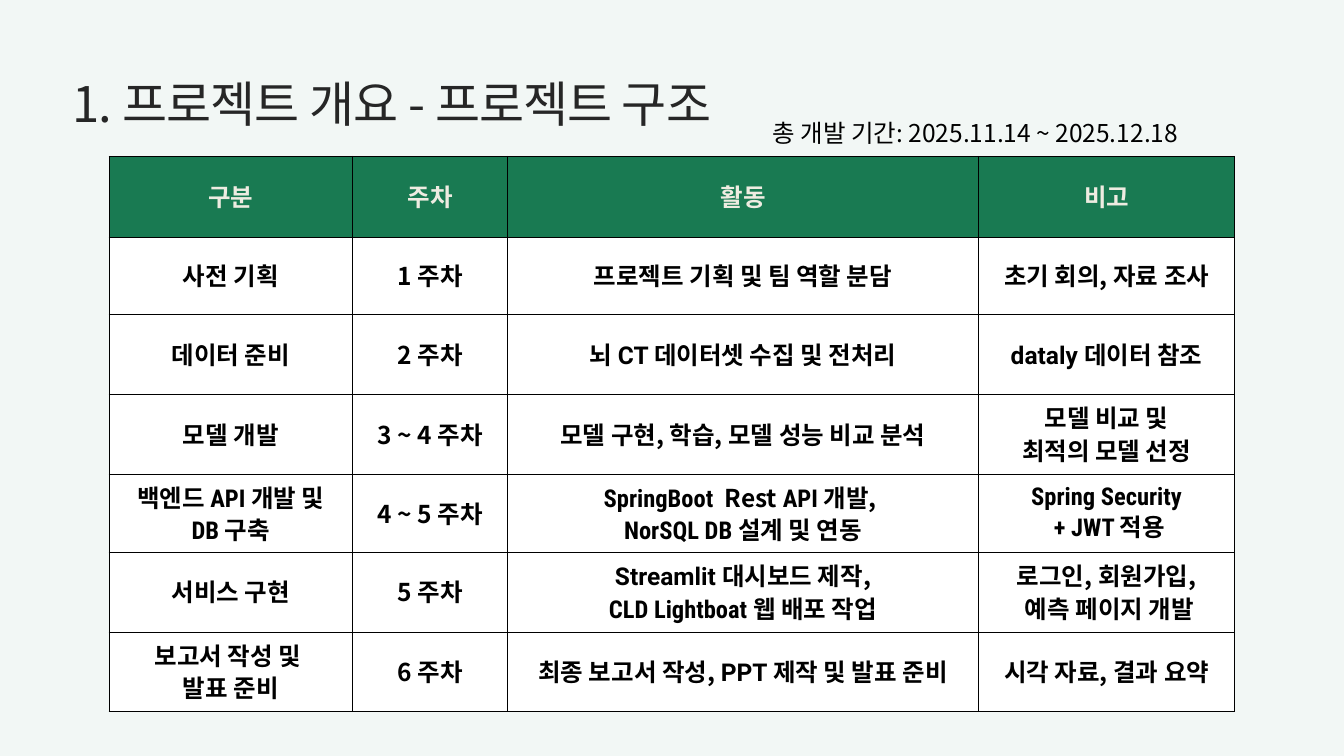
from lxml.etree import SubElement
from pptx import Presentation
from pptx.dml.color import RGBColor
from pptx.enum.text import MSO_ANCHOR, PP_ALIGN
from pptx.oxml.ns import qn
from pptx.util import Inches, Pt

BACKGROUND = RGBColor(0xF2, 0xF7, 0xF5)
GREEN = RGBColor(0x19, 0x7A, 0x52)
WHITE = RGBColor(0xFF, 0xFF, 0xFF)
CREAM = RGBColor(0xEE, 0xEC, 0xE1)
CHARCOAL = RGBColor(0x26, 0x26, 0x26)
BLACK = RGBColor(0x00, 0x00, 0x00)

KOREAN = "Noto Sans CJK KR"
LATIN = "Roboto"
NARROW = "Roboto Condensed"

COLUMN_WIDTHS = [4.84, 3.07, 9.35, 5.08]
ROW_HEIGHTS = [1.6, 1.54, 1.58, 1.6, 1.54, 1.58, 1.58]

# A cell is a text or a list of paragraphs; a paragraph is a text or a list
# of runs; a run is a text in the Korean font or a (text, font) pair.
SCHEDULE = [
    ["구분", "주차", "활동", "비고"],
    ["사전 기획", "1 주차", "프로젝트 기획 및 팀 역할 분담", "초기 회의, 자료 조사"],
    ["데이터 준비", "2 주차",
     [["뇌 ", ("CT ", LATIN), "데이터셋 수집 및 전처리"]],
     [[("dataly ", LATIN), "데이터 참조"]]],
    ["모델 개발", "3 ~ 4 주차", "모델 구현, 학습, 모델 성능 비교 분석",
     ["모델 비교 및", "최적의 모델 선정"]],
    [[[("백엔드 API ", NARROW), "개발 및"], [("DB ", NARROW), "구축"]],
     "4 ~ 5 주차",
     [[("SpringBoot", NARROW), "  Rest ", ("API ", NARROW), "개발, "],
      [("NorSQL DB ", NARROW), "설계 및 연동"]],
     [[("Spring Security", NARROW)], [(" + JWT ", NARROW), "적용"]]],
    ["서비스 구현", "5 주차",
     [[("Streamlit ", LATIN), "대시보드 제작,"],
      [("CLD Lightboat ", NARROW), "웹 배포 작업"]],
     ["로그인, 회원가입,", " 예측 페이지 개발"]],
    [["보고서 작성 및 ", "발표 준비"], "6 주차",
     [["최종 보고서 작성, ", ("PPT ", LATIN), "제작 및 발표 준비"]],
     "시각 자료, 결과 요약"],
]


def as_list(item):
    return item if isinstance(item, list) else [item]


def write_text(frame, text, *, size=35, color=BLACK, bold=False,
               align=PP_ALIGN.LEFT, line_spacing=None, tracking=None):
    for index, runs in enumerate(as_list(text)):
        paragraph = frame.add_paragraph() if index else frame.paragraphs[0]
        paragraph.alignment = align
        paragraph.line_spacing = line_spacing
        for item in as_list(runs):
            words, font_name = item if isinstance(item, tuple) else (item, KOREAN)
            run = paragraph.add_run()
            run.text = words
            run.font.size = Pt(size)
            run.font.bold = bold
            run.font.color.rgb = color
            run.font.name = font_name
            properties = run.font._element
            SubElement(properties, qn("a:ea"), typeface=KOREAN)
            if tracking is not None:
                properties.set("spc", str(round(tracking * 100)))


def add_borders(cell, color=BLACK, width=1):
    """Outline a cell; call before filling it, as borders come first in the XML."""
    properties = cell._tc.get_or_add_tcPr()
    for side in ("a:lnL", "a:lnR", "a:lnT", "a:lnB"):
        line = SubElement(properties, qn(side), w=str(Pt(width)))
        fill = SubElement(line, qn("a:solidFill"))
        SubElement(fill, qn("a:srgbClr"), val=str(color))


class SlideBuilder:
    """Holds the slide and its style."""

    def __init__(self, presentation):
        self.slide = presentation.slides.add_slide(presentation.slide_layouts[6])
        fill = self.slide.background.fill
        fill.solid()
        fill.fore_color.rgb = BACKGROUND

    def text(self, text, left, top, width, height, **text_format):
        box = self.slide.shapes.add_textbox(
            Inches(left), Inches(top), Inches(width), Inches(height))
        frame = box.text_frame
        frame.word_wrap = True
        frame.margin_left = frame.margin_right = 0
        frame.margin_top = frame.margin_bottom = 0
        write_text(frame, text, **text_format)

    def table(self, rows, left, top, column_widths, row_heights):
        table = self.slide.shapes.add_table(
            len(rows), len(column_widths), Inches(left), Inches(top),
            Inches(sum(column_widths)), Inches(sum(row_heights))).table
        for column, width in zip(table.columns, column_widths):
            column.width = Inches(width)
        for row, height in zip(table.rows, row_heights):
            row.height = Inches(height)
        for row_index, row in enumerate(rows):
            header = row_index == 0
            for column_index, text in enumerate(row):
                cell = table.cell(row_index, column_index)
                add_borders(cell)
                cell.fill.solid()
                cell.fill.fore_color.rgb = GREEN if header else WHITE
                cell.vertical_anchor = MSO_ANCHOR.MIDDLE
                cell.margin_left = cell.margin_right = Inches(0.1)
                cell.margin_top = cell.margin_bottom = Inches(0.06)
                write_text(cell.text_frame, text, bold=True,
                           color=CREAM if header else BLACK,
                           align=PP_ALIGN.CENTER, line_spacing=0.92)


def main():
    presentation = Presentation()
    presentation.slide_width = Inches(26.67)
    presentation.slide_height = Inches(15)
    builder = SlideBuilder(presentation)
    builder.text("1. 프로젝트 개요 - 프로젝트 구조", 1.44, 1.27, 16.47, 1.33,
                 size=70, color=CHARCOAL, line_spacing=1.16, tracking=-1.3)
    builder.table(SCHEDULE, 2.16, 3.1, COLUMN_WIDTHS, ROW_HEIGHTS)
    builder.text("총 개발 기간: 2025.11.14 ~ 2025.12.18", 15.33, 2.34, 10.83, 0.69)
    presentation.save("out.pptx")


if __name__ == "__main__":
    main()
